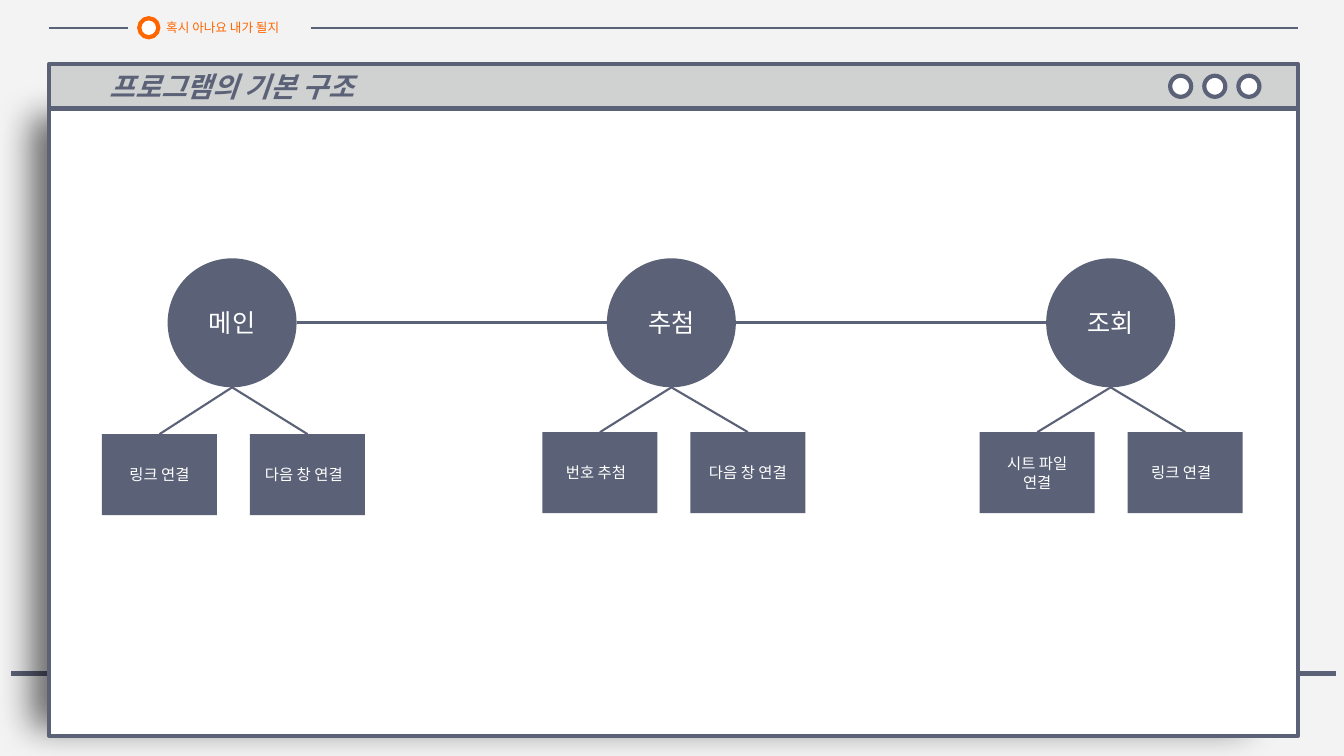
from dataclasses import dataclass

from lxml.etree import SubElement
from pptx import Presentation
from pptx.dml.color import RGBColor
from pptx.enum.shapes import MSO_CONNECTOR, MSO_SHAPE as Shp
from pptx.enum.text import MSO_ANCHOR, MSO_AUTO_SIZE, PP_ALIGN
from pptx.oxml import parse_xml
from pptx.oxml.ns import nsdecls, qn
from pptx.util import Cm, Pt

SLATE = RGBColor(0x5B, 0x61, 0x76)
ORANGE = RGBColor(0xFF, 0x66, 0x00)
BAR_GREY = RGBColor(0xD0, 0xD2, 0xD2)
PAGE_GREY = RGBColor(0xF3, 0xF3, 0xF3)
WHITE = RGBColor(0xFF, 0xFF, 0xFF)
FONT = "Noto Sans CJK KR"

CIRCLE_D, CIRCLE_TOP = 3.25, 6.51
FIRST_CENTER, CENTER_STEP = 5.85, 11.07
BOX_W, BOX_H, BOX_STEP = 2.9, 2.04, 3.73


@dataclass
class Box:
    lines: list[str]
    extra_right: float = 0  # added right inset


@dataclass
class Screen:
    name: str
    left: float  # left edge of the first box
    top: float
    boxes: list[Box]


SCREENS = [
    Screen("메인", 2.57, 10.94, [Box(["링크 연결"]), Box(["다음 창 연결"], 0.18)]),
    Screen("추첨", 13.67, 10.89, [Box(["번호 추첨"], 0.2), Box(["다음 창 연결"])]),
    Screen("조회", 24.69, 10.89, [Box(["시트 파일", "연결"]), Box(["링크 연결"], 0.2)]),
]


def write(tf, lines: list[str], size: float, color: RGBColor, align=PP_ALIGN.CENTER) -> None:
    tf.vertical_anchor = MSO_ANCHOR.MIDDLE
    tf.text = "\n".join(lines)
    for p in tf.paragraphs:
        p.alignment = align
        p.line_spacing = 1.0
        p.font.size = Pt(size)
        p.font.name = FONT
        p.font.color.rgb = color
        # East Asian typeface for the Korean text
        SubElement(p._p.pPr.find(qn("a:defRPr")), qn("a:ea"), typeface=FONT)


def paint(sp, fill: RGBColor, line: RGBColor | None) -> None:
    sp.fill.solid()
    sp.fill.fore_color.rgb = fill
    if line is None:
        sp.line.fill.background()
    else:
        sp.line.color.rgb = line
        sp.line.width = Pt(3)


def add_shape(s, kind, x: float, y: float, w: float, h: float,
              fill: RGBColor = SLATE, line: RGBColor | None = None):
    sp = s.shapes.add_shape(kind, Cm(x), Cm(y), Cm(w), Cm(h))
    sp.shadow.inherit = False
    paint(sp, fill, line)
    return sp


def add_line(s, x1: float, y1: float, x2: float, y2: float, width: float) -> None:
    cn = s.shapes.add_connector(MSO_CONNECTOR.STRAIGHT, Cm(x1), Cm(y1), Cm(x2), Cm(y2))
    cn.line.color.rgb = SLATE
    cn.line.width = Pt(width)
    SubElement(cn.element.spPr, qn("a:effectLst"))


def add_window(s) -> None:
    add_line(s, 0.28, 16.97, 33.68, 16.97, 3)
    body = add_shape(s, Shp.RECTANGLE, 1.24, 2.74, 31.47, 15.8, WHITE, SLATE)
    effects = body.element.spPr.find(qn("a:effectLst"))
    effects.append(parse_xml(
        f'<a:outerShdw {nsdecls("a")} blurRad="{Pt(24)}" dist="{Pt(25)}" dir="10800000" '
        'sx="97000" sy="97000" algn="ctr" rotWithShape="0"><a:srgbClr val="000000">'
        '<a:alpha val="57000"/></a:srgbClr></a:outerShdw>'))

    # Title bar, above the window's shadow
    title = s.shapes.title
    body.element.addnext(title.element)
    title.left, title.top, title.width, title.height = Cm(1.24), Cm(1.61), Cm(31.47), Cm(1.12)
    paint(title, BAR_GREY, SLATE)
    tf = title.text_frame
    tf.auto_size = MSO_AUTO_SIZE.NONE
    tf.margin_left = Cm(1.52)
    write(tf, ["프로그램의 기본 구조"], 20, SLATE, PP_ALIGN.LEFT)
    tf.paragraphs[0].font.bold = tf.paragraphs[0].font.italic = True

    # Window buttons
    for i in range(3):
        add_shape(s, Shp.OVAL, 29.49 + 0.86 * i, 1.91, 0.53, 0.53, WHITE, SLATE)


def add_header(s) -> None:
    for x1, x2 in ((1.23, 3.23), (7.83, 32.7)):
        add_line(s, x1, 0.7, x2, 0.7, 1.75)
    add_shape(s, Shp.OVAL, 3.51, 0.46, 0.48, 0.48, WHITE, ORANGE)
    tb = s.shapes.add_textbox(Cm(3.94), Cm(0.38), Cm(3.89), Cm(0.61))
    tb.text_frame.word_wrap = False
    write(tb.text_frame, ["혹시 아나요 내가 될지"], 9, ORANGE, PP_ALIGN.LEFT)


def add_screen(s, screen: Screen, center: float) -> None:
    circle = add_shape(s, Shp.OVAL, center - CIRCLE_D / 2, CIRCLE_TOP, CIRCLE_D, CIRCLE_D)
    write(circle.text_frame, [screen.name], 18, WHITE)
    for i, box in enumerate(screen.boxes):
        x = screen.left + i * BOX_STEP
        add_line(s, center, CIRCLE_TOP + CIRCLE_D, x + BOX_W / 2, screen.top, 1.5)
        sp = add_shape(s, Shp.RECTANGLE, x, screen.top, BOX_W, BOX_H)
        sp.text_frame.margin_right = Cm(0.25 + box.extra_right)
        write(sp.text_frame, box.lines, 11, WHITE)


def main() -> None:
    prs = Presentation()
    prs.slide_width, prs.slide_height = Cm(33.87), Cm(19.05)
    s = prs.slides.add_slide(prs.slide_layouts[5])
    s.background.fill.solid()
    s.background.fill.fore_color.rgb = PAGE_GREY

    add_window(s)
    add_header(s)

    # Program structure: screens joined left to right
    for i, screen in enumerate(SCREENS):
        center = FIRST_CENTER + i * CENTER_STEP
        add_screen(s, screen, center)
        if i:
            y = CIRCLE_TOP + CIRCLE_D / 2
            add_line(s, center - CENTER_STEP + CIRCLE_D / 2, y, center - CIRCLE_D / 2, y, 2)

    prs.save("out.pptx")


if __name__ == "__main__":
    main()
